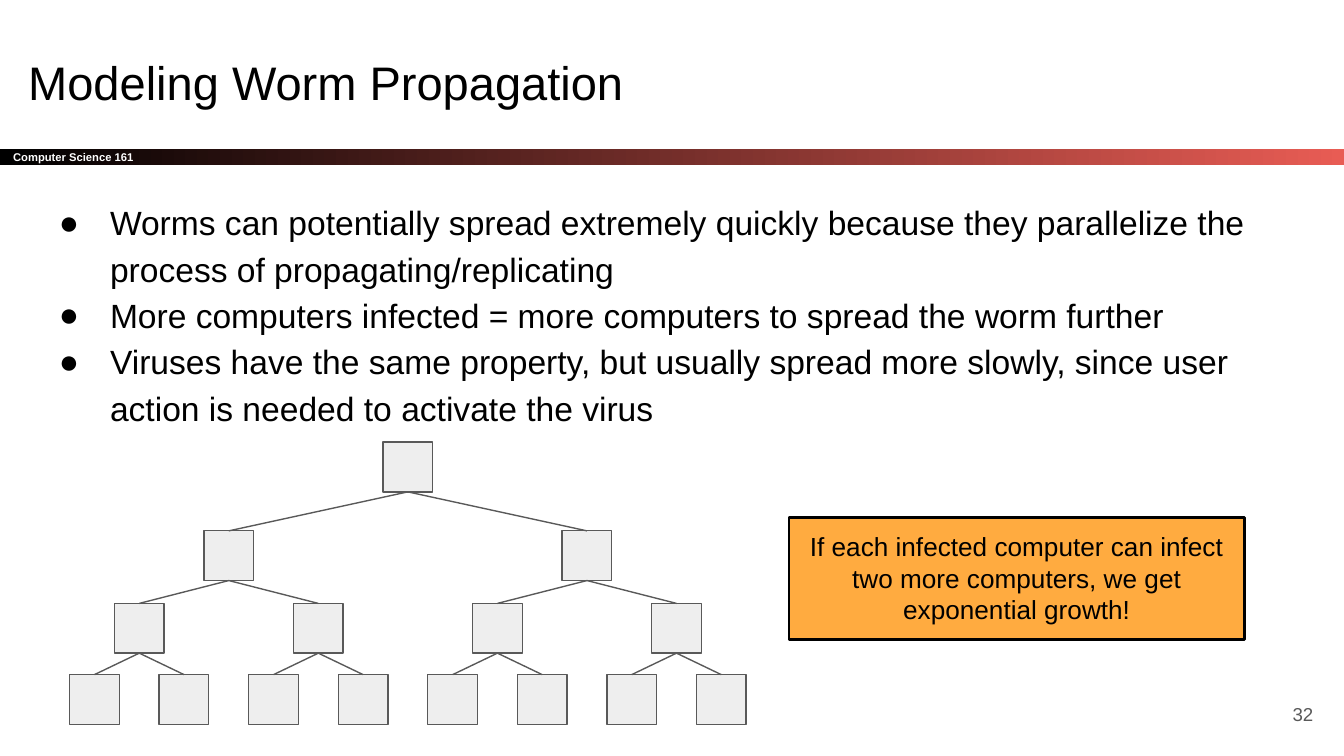
"""Build the slide on how worms spread."""
import lxml.etree
import pptx
import pptx.dml.color
import pptx.enum.shapes
import pptx.enum.text
import pptx.oxml.ns
import pptx.util

Inches = pptx.util.Inches
Pt = pptx.util.Pt
qn = pptx.oxml.ns.qn
ALIGN = pptx.enum.text.PP_ALIGN
ANCHOR = pptx.enum.text.MSO_ANCHOR
RECT = pptx.enum.shapes.MSO_SHAPE.RECTANGLE
LINE = pptx.enum.shapes.MSO_CONNECTOR.STRAIGHT
POINTS = [
    "Worms can potentially spread extremely quickly because they parallelize "
    "the process of propagating/replicating",
    "More computers infected = more computers to spread the worm further",
    "Viruses have the same property, but usually spread more slowly, since "
    "user action is needed to activate the virus",
]


def paint(color, code):
    color.rgb = pptx.dml.color.RGBColor.from_string(code)


def stroke(line, code, width):
    line.fill.solid()
    paint(line.color, code)
    line.width = Pt(width)


def bullet(par):
    props = par._p.get_or_add_pPr()
    props.set("marL", str(Inches(0.5)))
    props.set("indent", str(Inches(-0.38)))
    color = lxml.etree.SubElement(props, qn("a:buClr"))
    lxml.etree.SubElement(color, qn("a:srgbClr"), val="000000")
    lxml.etree.SubElement(props, qn("a:buFont"), typeface="Arial")
    lxml.etree.SubElement(props, qn("a:buChar"), char="●")


def write(shape, texts, size, code="000000", align=ALIGN.LEFT,
          anchor=ANCHOR.TOP, bold=False, bullets=False):
    frame = shape.text_frame
    frame.word_wrap = True
    frame.auto_size = pptx.enum.text.MSO_AUTO_SIZE.NONE
    frame.vertical_anchor = anchor
    frame.margin_left = frame.margin_right = Inches(0.1)
    frame.margin_top = frame.margin_bottom = Inches(0.1)
    frame.text = "\n".join(texts)
    for par in frame.paragraphs:
        par.alignment = align
        if bullets:
            par.line_spacing = 1.15
            bullet(par)
        par.font.name = "Arial"
        par.font.size = Pt(size)
        par.font.bold = bold
        paint(par.font.color, code)


def block(slide, left, top, width, height, code, edge, weight):
    shape = slide.shapes.add_shape(
        RECT, Inches(left), Inches(top), Inches(width), Inches(height))
    shape.shadow.inherit = False
    shape.fill.solid()
    paint(shape.fill.fore_color, code)
    stroke(shape.line, edge, weight)
    return shape


def label(slide, left, top, width, height, texts, size, **style):
    shape = slide.shapes.add_textbox(
        Inches(left), Inches(top), Inches(width), Inches(height))
    write(shape, texts, size, **style)


def banner(slide, left, top, width, height):
    bar = slide.shapes.add_shape(
        RECT, Inches(left), Inches(top), Inches(width), Inches(height))
    bar.shadow.inherit = False
    bar.fill.gradient()
    bar.fill.gradient_angle = 0
    for stop, code in zip(bar.fill.gradient_stops, ["000000", "E85C54"]):
        paint(stop.color, code)
    bar.line.fill.background()
    write(bar, ["Computer Science 161"], 6, "FFFFFF",
          anchor=ANCHOR.MIDDLE, bold=True)


def head(slide, left, top, width, height):
    title = slide.shapes.title
    title.left, title.top = Inches(left), Inches(top)
    title.width, title.height = Inches(width), Inches(height)
    write(title, ["Modeling Worm Propagation"], 25.2)


def link(slide, parent, child):
    line = slide.shapes.add_connector(LINE, 0, 0, 0, 0)
    line.begin_connect(parent, 2)
    line.end_connect(child, 0)
    stroke(line.line, "595959", 0.75)
    lxml.etree.SubElement(line._element.spPr, qn("a:effectLst"))


def tree(slide, left, top, width, drops, side=0.37):
    above = []
    for level, drop in enumerate(drops):
        step = width / 2 ** level
        row = [block(slide, left + (i + 0.5) * step - side / 2, top + drop,
                     side, side, "EEEEEE", "595959", 0.75)
               for i in range(2 ** level)]
        if above:
            for i, child in enumerate(row):
                link(slide, above[i // 2], child)
        above = row


def note(slide, left, top, width, height):
    box = block(slide, left, top, width, height, "FFAB40", "000000", 1.5)
    write(box, ["If each infected computer can infect two more computers, "
                "we get exponential growth!"], 14, align=ALIGN.CENTER)


def main():
    deck = pptx.Presentation()
    deck.slide_width = Inches(10)
    deck.slide_height = deck.slide_width * 9 // 16
    slide = deck.slides.add_slide(deck.slide_layouts[5])
    banner(slide, 0, 1.11, 10, 0.12)
    head(slide, 0.11, 0.3, 9.32, 0.63)
    label(slide, 0.22, 1.36, 9.32, 1.92, POINTS, 18, bullets=True)
    label(slide, 9.27, 5.1, 0.6, 0.43, ["32"], 10, code="595959",
          align=ALIGN.RIGHT, anchor=ANCHOR.MIDDLE)
    tree(slide, 0.37, 3.29, 5.33, [0, 0.66, 1.2, 1.73])
    note(slide, 5.87, 3.85, 3.39, 0.91)
    deck.save("out.pptx")


main()
